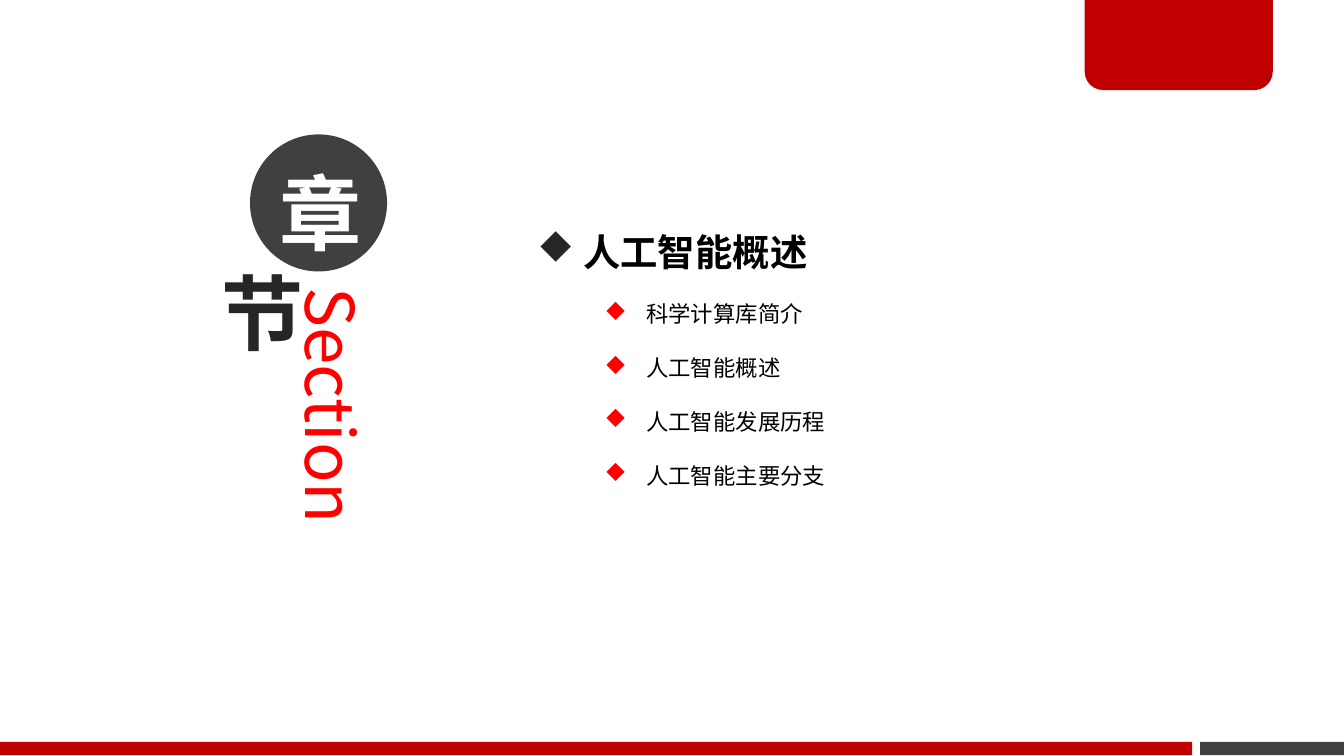
import pptx
import pptx.dml.color
import pptx.enum.shapes
import pptx.enum.text
import pptx.oxml.ns
import pptx.util
from lxml import etree

Inches = pptx.util.Inches
Pt = pptx.util.Pt
SHAPES = pptx.enum.shapes.MSO_SHAPE
ALIGN = pptx.enum.text.PP_ALIGN
qn = pptx.oxml.ns.qn

FONT = "Noto Sans CJK SC"
BULLET_FONT = "Wingdings"
DIAMOND = "u"  # the diamond in Wingdings
COLORS = {
    "crimson": "C00000",
    "red": "FF0000",
    "gray": "404040",
    "charcoal": "262626",
    "black": "000000",
    "white": "FFFFFF",
}
TOPICS = ["科学计算库简介", "人工智能概述", "人工智能发展历程", "人工智能主要分支"]


class SectionSlide:
    def __init__(self, slide):
        self.slide = slide

    def rgb(self, color):
        return pptx.dml.color.RGBColor.from_string(COLORS[color])

    def shape(self, kind, left, top, width, height, fill=None):
        shape = self.slide.shapes.add_shape(
            kind, Inches(left), Inches(top), Inches(width), Inches(height))
        shape.shadow.inherit = False
        shape.line.fill.background()
        if fill:
            shape.fill.solid()
            shape.fill.fore_color.rgb = self.rgb(fill)
        else:
            shape.fill.background()
        return shape

    def text_box(self, left, top, width, height):
        box = self.slide.shapes.add_textbox(
            Inches(left), Inches(top), Inches(width), Inches(height))
        box.text_frame.word_wrap = True
        return box.text_frame

    def insets(self, frame, bottom=0.04):
        frame.margin_left = frame.margin_right = Inches(0.07)
        frame.margin_top = Inches(0.04)
        frame.margin_bottom = Inches(bottom)

    def run(self, paragraph, text, size, color, bold=False):
        run = paragraph.add_run()
        run.text = text
        run.font.size = Pt(size)
        run.font.bold = bold
        run.font.color.rgb = self.rgb(color)
        run.font.name = FONT
        latin = run.font._element.find(qn("a:latin"))
        latin.addnext(etree.Element(qn("a:ea"), typeface=FONT))
        return run

    def outline(self, run, color, width):
        """Draw a thin line around the letters of a run."""
        line = etree.Element(qn("a:ln"), w=str(Pt(width)))
        fill = etree.SubElement(line, qn("a:solidFill"))
        etree.SubElement(fill, qn("a:srgbClr"), val=COLORS[color])
        run.font._element.insert(0, line)

    def badge(self, text, left, top, diameter, color, fill=None, bottom=0.04):
        """Place one large character in a circle."""
        circle = self.shape(SHAPES.OVAL, left, top, diameter, diameter, fill)
        self.insets(circle.text_frame, bottom)
        paragraph = circle.text_frame.paragraphs[0]
        paragraph.alignment = ALIGN.CENTER
        return paragraph, self.run(paragraph, text, 44, color, bold=True)

    def vertical_text(self, text, left, top, width, height, size, color):
        frame = self.text_box(left, top, width, height)
        self.insets(frame)
        frame._txBody.bodyPr.set("vert", "vert")
        self.run(frame.paragraphs[0], text, size, color)

    def bullet(self, paragraph, color, margin, hanging):
        paragraph.line_spacing = 2.0
        properties = paragraph._p.get_or_add_pPr()
        properties.set("marL", str(Inches(margin)))
        properties.set("indent", str(-Inches(hanging)))
        bullet_color = etree.SubElement(properties, qn("a:buClr"))
        etree.SubElement(bullet_color, qn("a:srgbClr"), val=COLORS[color])
        etree.SubElement(properties, qn("a:buFont"), typeface=BULLET_FONT,
                         pitchFamily="2", charset="2")
        etree.SubElement(properties, qn("a:buChar"), char=DIAMOND)

    def outline_list(self, heading, topics, left, top, width, height):
        """Write a bold heading with its topics one level below."""
        frame = self.text_box(left, top, width, height)
        frame.auto_size = pptx.enum.text.MSO_AUTO_SIZE.SHAPE_TO_FIT_TEXT
        paragraph = frame.paragraphs[0]
        self.bullet(paragraph, "charcoal", 0.19, 0.19)
        self.run(paragraph, heading, 20, "black", bold=True)
        for topic in topics:
            paragraph = frame.add_paragraph()
            paragraph.level = 1
            self.bullet(paragraph, "red", 0.81, 0.31)
            self.run(paragraph, topic, 12, "black")


def main():
    presentation = pptx.Presentation()
    presentation.slide_width = Inches(10)
    presentation.slide_height = Inches(10 * 9 / 16)
    section = SectionSlide(
        presentation.slides.add_slide(presentation.slide_layouts[6]))

    section.shape(SHAPES.RECTANGLE, 8.93, 5.52, 1.07, 0.1, "gray")
    tab = section.shape(
        SHAPES.ROUND_2_SAME_RECTANGLE, 8.07, -0.02, 1.4, 0.69, "crimson")
    tab.rotation = 180
    tab.adjustments[0] = 0.2
    section.shape(SHAPES.RECTANGLE, 0, 5.52, 8.87, 0.1, "crimson")

    section.vertical_text("Section", 2.14, 2.1, 0.7, 2.89, 36, "red")
    paragraph, _ = section.badge(
        "章", 1.86, 1, 1.02, "white", fill="gray", bottom=0.15)
    paragraph.line_spacing = Pt(70)
    _, run = section.badge("节", 1.46, 1.92, 0.8, "charcoal")
    section.outline(run, "white", 0.25)

    section.outline_list(" 人工智能概述", TOPICS, 3.9, 1.32, 4.8, 2.39)
    presentation.save("out.pptx")


if __name__ == "__main__":
    main()
